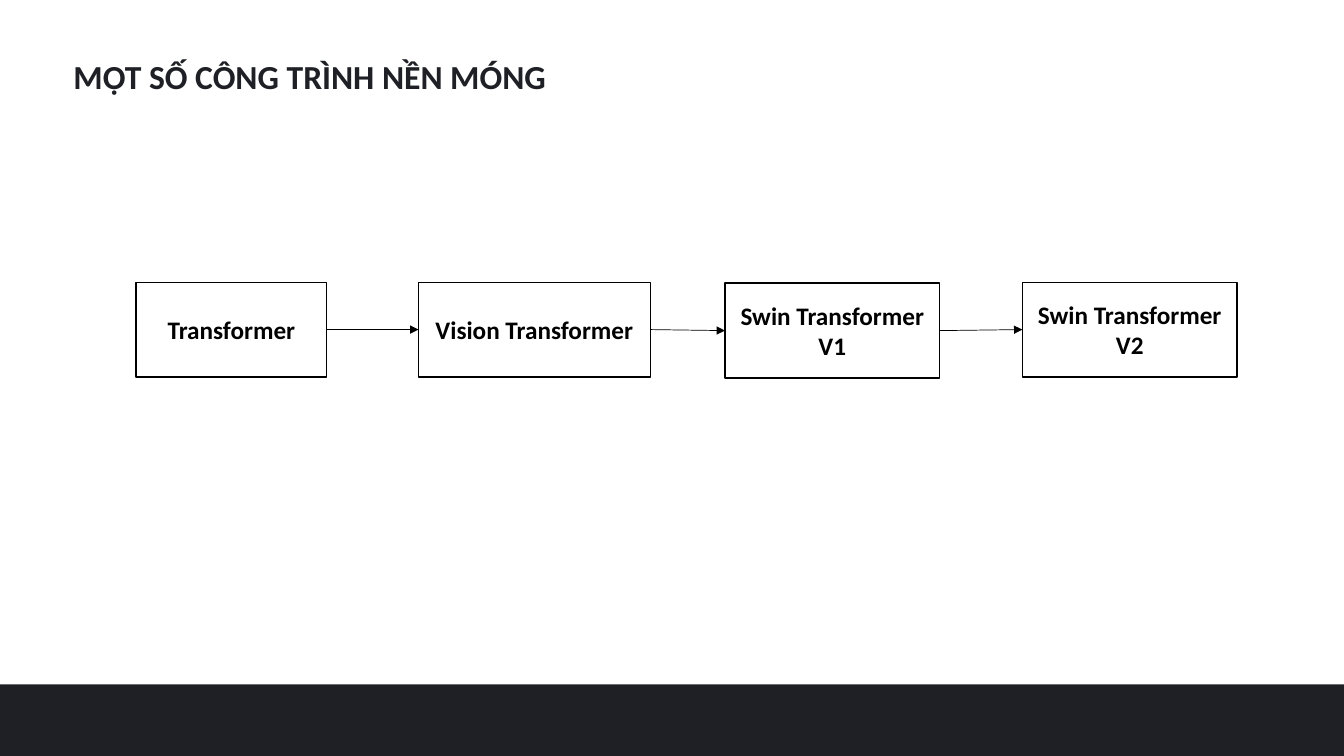
from lxml import etree
from pptx import Presentation
from pptx.dml.color import RGBColor
from pptx.enum.shapes import MSO_CONNECTOR, MSO_SHAPE
from pptx.enum.text import MSO_ANCHOR, MSO_AUTO_SIZE, PP_ALIGN
from pptx.oxml.ns import qn
from pptx.util import Inches, Pt

RECTANGLE = MSO_SHAPE.RECTANGLE
STRAIGHT = MSO_CONNECTOR.STRAIGHT
MIDDLE = MSO_ANCHOR.MIDDLE
CENTER = PP_ALIGN.CENTER
GROW = MSO_AUTO_SIZE.SHAPE_TO_FIT_TEXT
LEFT_SIDE, RIGHT_SIDE = 1, 3

FONT = "Calibri"
COLORS = {"dark": "1F2025", "white": "FFFFFF", "black": "000000"}
MODEL_HEIGHT = 0.94
MODELS = [
    ("Transformer", 1.35, 2.8, 1.89),
    ("Vision Transformer", 4.15, 2.8, 2.3),
    ("Swin Transformer V1", 7.19, 2.81, 2.13),
    ("Swin Transformer V2", 10.14, 2.8, 2.13),
]


def color(name):
    """Return the named colour."""
    return RGBColor.from_string(COLORS[name])


def write(box, text, size, color_name):
    """Write one bold line of text into a box and return its paragraph."""
    box.text_frame.word_wrap = True
    para = box.text_frame.paragraphs[0]
    span = para.add_run()
    span.text = text
    span.font.name = FONT
    span.font.size = Pt(size)
    span.font.bold = True
    span.font.color.rgb = color(color_name)
    return para


def add_title(page, text):
    """Add the slide heading."""
    box = page.shapes.add_textbox(
        Inches(0.63), Inches(0.51), Inches(5.82), Inches(0.5))
    write(box, text, 24, "dark")
    box.text_frame.auto_size = GROW


def add_rectangle(page, left, top, width, height, fill):
    """Add a plain filled rectangle without a line."""
    box = page.shapes.add_shape(
        RECTANGLE, Inches(left), Inches(top), Inches(width), Inches(height))
    box.shadow.inherit = False
    box.fill.solid()
    box.fill.fore_color.rgb = color(fill)
    box.line.fill.background()
    return box


def add_model(page, name, left, top, width):
    """Add an outlined box with a model name."""
    box = add_rectangle(page, left, top, width, MODEL_HEIGHT, "white")
    box.line.color.rgb = color("black")
    box.line.width = Pt(1)
    write(box, name, 18, "black").alignment = CENTER
    box.text_frame.vertical_anchor = MIDDLE
    return box


def add_arrow(page, source, target):
    """Join two neighbouring boxes with an arrow."""
    arrow = page.shapes.add_connector(STRAIGHT, 0, 0, 0, 0)
    arrow.begin_connect(source, RIGHT_SIDE)
    arrow.end_connect(target, LEFT_SIDE)
    arrow.line.color.rgb = color("black")
    arrow.line.width = Pt(0.5)
    properties = arrow._element.spPr
    etree.SubElement(properties.find(qn("a:ln")), qn("a:tailEnd"), type="triangle")
    etree.SubElement(properties, qn("a:effectLst"))


def main():
    """Build and save the slide."""
    deck = Presentation()
    deck.slide_width = Inches(13.33)
    deck.slide_height = Inches(7.5)
    page = deck.slides.add_slide(deck.slide_layouts[6])
    add_title(page, "MỘT SỐ CÔNG TRÌNH NỀN MÓNG")
    add_rectangle(page, 0, 6.79, 13.33, 0.71, "dark")
    boxes = [add_model(page, *model) for model in MODELS]
    for source, target in zip(boxes, boxes[1:]):
        add_arrow(page, source, target)
    deck.save("out.pptx")


if __name__ == "__main__":
    main()
